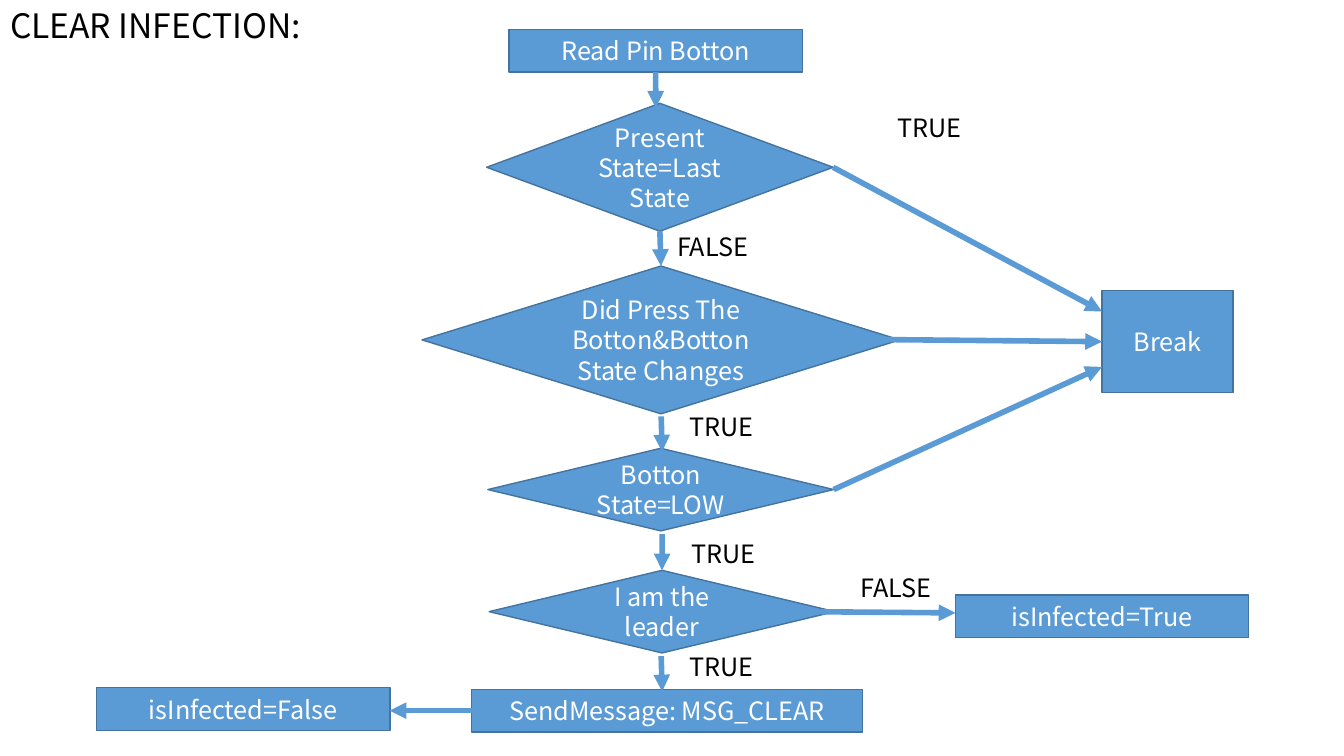
from dataclasses import dataclass
from typing import NamedTuple

from pptx import Presentation
from pptx.dml.color import RGBColor
from pptx.enum import shapes, text
from pptx.oxml.ns import qn
from pptx.util import Pt
from lxml import etree


@dataclass(frozen=True)
class Theme:
    font: str = "Noto Sans CJK SC"
    fill: RGBColor = RGBColor(0x5B, 0x9B, 0xD5)
    outline: RGBColor = RGBColor(0x43, 0x73, 0x9E)
    light: RGBColor = RGBColor(0xFF, 0xFF, 0xFF)
    dark: RGBColor = RGBColor(0, 0, 0)
    title_size: int = 24
    body_size: int = 18
    outline_width: int = 1
    arrow_width: int = 4


class Point(NamedTuple):
    x: float
    y: float


class Site(NamedTuple):
    """Middle of a side of a named node."""
    node: str
    side: int


@dataclass(frozen=True)
class Node:
    name: str
    wording: str
    left: float
    top: float
    width: float
    height: float
    kind: shapes.MSO_SHAPE = shapes.MSO_SHAPE.RECTANGLE


@dataclass(frozen=True)
class Label:
    wording: str
    left: float
    top: float


@dataclass(frozen=True)
class Arrow:
    start: Point | Site
    end: Point | Site


THEME = Theme()
TOP, LEFT, BOTTOM, RIGHT = range(4)
DECISION = shapes.MSO_SHAPE.FLOWCHART_DECISION
STEP_WIDTH, STEP_HEIGHT = 209.5, 30.4
LABEL_WIDTH, LABEL_HEIGHT = 96.5, 29

NODES = [
    Node("read", "Read Pin Botton", 363.6, 21.2, STEP_WIDTH, STEP_HEIGHT),
    Node("same", "Present State=Last State", 347.6, 73.8, 247.5, 91.4, DECISION),
    Node("pressed", "Did Press The Botton&Botton State Changes",
         301.5, 190, 341.3, 105.6, DECISION),
    Node("low", "Botton State=LOW", 348.5, 320.2, 247, 59, DECISION),
    Node("leader", "I am the leader", 349.4, 407.4, 247, 59, DECISION),
    Node("send", "SendMessage: MSG_CLEAR", 337, 492.4, 279.2, STEP_HEIGHT),
    Node("clean", "isInfected=False", 69, 491.3, STEP_WIDTH, STEP_HEIGHT),
    Node("infected", "isInfected=True", 682.5, 425, STEP_WIDTH, STEP_HEIGHT),
    Node("break", "Break", 787.2, 207.6, 93.6, 72.9),
]

LABELS = [
    Label("TRUE", 634.1, 77),
    Label("FALSE", 476.6, 161.6),
    Label("TRUE", 485.3, 289.9),
    Label("TRUE", 486.7, 380.8),
    Label("TRUE", 485.3, 461.4),
    Label("FALSE", 607.7, 405.4),
]

ARROWS = [
    Arrow(Site("read", BOTTOM), Point(468.4, 77)),
    Arrow(Site("same", BOTTOM), Site("pressed", TOP)),
    Arrow(Point(472.3, 297.4), Point(473, 322.6)),
    Arrow(Point(473, 381.6), Site("leader", TOP)),
    Arrow(Point(472.3, 468.7), Point(473, 493.9)),
    Arrow(Site("same", RIGHT), Point(787.2, 222.5)),
    Arrow(Point(634.3, 242.6), Site("break", LEFT)),
    Arrow(Site("low", RIGHT), Point(787.2, 262.1)),
    Arrow(Point(586.8, 437), Point(682.5, 437.8)),
    Arrow(Site("send", LEFT), Point(278.3, 507.6)),
]


def place(shape, left: float, top: float, width: float, height: float) -> None:
    shape.left, shape.top = Pt(left), Pt(top)
    shape.width, shape.height = Pt(width), Pt(height)


def write(shape, wording: str, size: int, color: RGBColor,
          align: text.PP_ALIGN, anchor: text.MSO_ANCHOR) -> None:
    frame = shape.text_frame
    frame.text = wording
    frame.word_wrap = True
    frame.vertical_anchor = anchor
    paragraph = frame.paragraphs[0]
    paragraph.alignment = align
    font = paragraph.runs[0].font
    font.name, font.size, font.color.rgb = THEME.font, Pt(size), color


def draw_title(slide, wording: str) -> None:
    title = slide.shapes.title
    place(title, 0, 0, 226, 36)
    write(title, wording, THEME.title_size, THEME.dark,
          text.PP_ALIGN.LEFT, text.MSO_ANCHOR.TOP)
    title.text_frame.auto_size = text.MSO_AUTO_SIZE.SHAPE_TO_FIT_TEXT


def draw_node(slide, node: Node):
    shape = slide.shapes.add_shape(node.kind, Pt(node.left), Pt(node.top),
                                   Pt(node.width), Pt(node.height))
    shape.shadow.inherit = False
    shape.fill.solid()
    shape.fill.fore_color.rgb = THEME.fill
    shape.line.color.rgb = THEME.outline
    shape.line.width = Pt(THEME.outline_width)
    write(shape, node.wording, THEME.body_size, THEME.light,
          text.PP_ALIGN.CENTER, text.MSO_ANCHOR.MIDDLE)
    return shape


def draw_label(slide, label: Label) -> None:
    box = slide.shapes.add_textbox(Pt(label.left), Pt(label.top),
                                   Pt(LABEL_WIDTH), Pt(LABEL_HEIGHT))
    write(box, label.wording, THEME.body_size, THEME.dark,
          text.PP_ALIGN.LEFT, text.MSO_ANCHOR.TOP)
    box.text_frame.auto_size = text.MSO_AUTO_SIZE.SHAPE_TO_FIT_TEXT


def draw_arrow(slide, arrow: Arrow, drawn: dict) -> None:
    connector = slide.shapes.add_connector(shapes.MSO_CONNECTOR.STRAIGHT, 0, 0, 0, 0)
    if isinstance(arrow.start, Site):
        connector.begin_connect(drawn[arrow.start.node], arrow.start.side)
    else:
        connector.begin_x, connector.begin_y = Pt(arrow.start.x), Pt(arrow.start.y)
    if isinstance(arrow.end, Site):
        connector.end_connect(drawn[arrow.end.node], arrow.end.side)
    else:
        connector.end_x, connector.end_y = Pt(arrow.end.x), Pt(arrow.end.y)
    connector.line.color.rgb = THEME.fill
    connector.line.width = Pt(THEME.arrow_width)
    # Arrowhead, and no shadow
    line = connector.line._get_or_add_ln()
    etree.SubElement(line, qn("a:tailEnd"), type="triangle")
    etree.SubElement(connector._element.spPr, qn("a:effectLst"))


def main() -> None:
    presentation = Presentation()
    presentation.slide_width, presentation.slide_height = Pt(960), Pt(540)
    title_only = presentation.slide_layouts.get_by_name("Title Only")
    slide = presentation.slides.add_slide(title_only)

    draw_title(slide, "CLEAR INFECTION:")
    # Flowchart: nodes first, then the arrows that join them
    drawn = {node.name: draw_node(slide, node) for node in NODES}
    for arrow in ARROWS:
        draw_arrow(slide, arrow, drawn)
    for label in LABELS:
        draw_label(slide, label)

    presentation.save("out.pptx")


if __name__ == "__main__":
    main()
